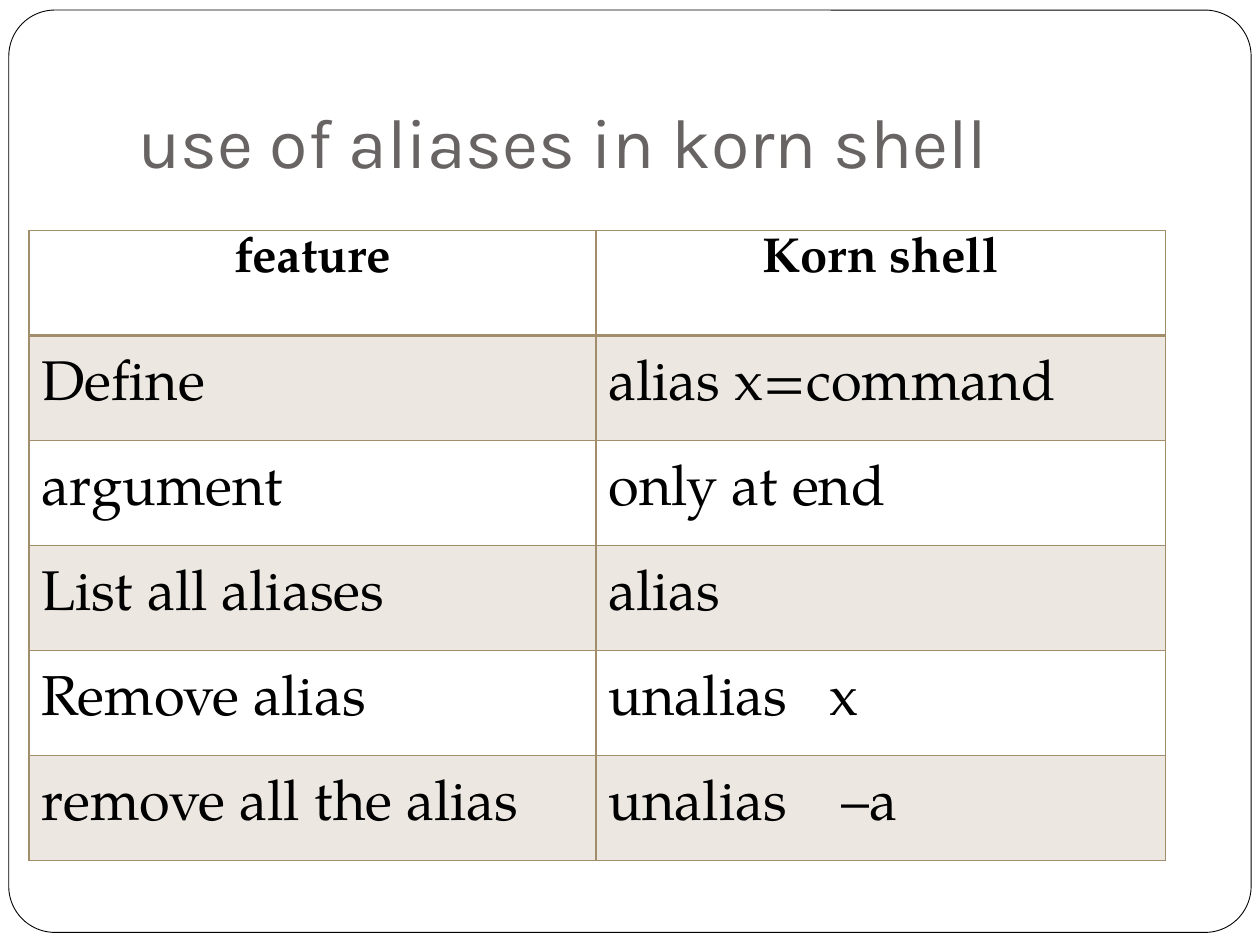
from dataclasses import dataclass

from lxml.etree import SubElement
from pptx import Presentation
from pptx.dml.color import RGBColor
from pptx.enum.shapes import MSO_SHAPE
from pptx.enum.text import MSO_ANCHOR, PP_ALIGN
from pptx.oxml.ns import qn
from pptx.util import Inches, Pt


@dataclass(frozen=True)
class Theme:
    title_font: str = "Karla"
    body_font: str = "TeX Gyre Pagella"
    title_size: int = 40
    header_size: int = 28
    body_size: int = 32
    paper: str = "FFFFFF"
    ink: str = "000000"
    title: str = "696464"
    rule: str = "A28E6A"
    band: str = "ECE8E1"


THEME = Theme()
ROWS = [
    ("feature", "Korn shell"),
    ("Define", "alias x=command"),
    ("argument", "only at end"),
    ("List all aliases", "alias"),
    ("Remove alias", "unalias\tx"),
    ("remove all the alias", "unalias\t–a"),
]
TAB_STOPS = {4: 1.75, 5: 1.85}
COLUMN_WIDTHS = (4.5, 4.52)


def apply_format(target, values):
    for name, value in values.items():
        setattr(target, name, value)


def write_text(paragraph, text, color, **font_values):
    run = paragraph.add_run()
    run.text = text
    apply_format(run.font, font_values)
    run.font.color.rgb = RGBColor.from_string(color)


def add_frame(slide):
    frame = slide.shapes.add_shape(
        MSO_SHAPE.ROUNDED_RECTANGLE, Inches(0.07), Inches(0.08), Inches(9.86), Inches(7.32)
    )
    frame.adjustments[0] = 0.05
    frame.shadow.inherit = False
    frame.fill.solid()
    frame.fill.fore_color.rgb = RGBColor.from_string(THEME.paper)
    frame.line.color.rgb = RGBColor.from_string(THEME.ink)
    frame.line.width = Pt(0.5)


def add_title(slide, text):
    box = slide.shapes.add_textbox(Inches(1), Inches(0.3), Inches(8.5), Inches(1.25))
    apply_format(box.text_frame, {
        "word_wrap": True,
        "vertical_anchor": MSO_ANCHOR.BOTTOM,
        "margin_bottom": Inches(0.1),
    })
    write_text(box.text_frame.paragraphs[0], text, THEME.title,
               name=THEME.title_font, size=Pt(THEME.title_size))


def set_borders(cell, widths):
    properties = cell._tc.get_or_add_tcPr()
    for position, (side, width) in enumerate(widths.items()):
        line = SubElement(properties, qn(f"a:{side}"), w=str(Pt(width)))
        fill = SubElement(line, qn("a:solidFill"))
        SubElement(fill, qn("a:srgbClr"), val=THEME.rule)
        properties.insert(position, line)


def add_tab_stop(paragraph, position):
    tabs = SubElement(paragraph._p.get_or_add_pPr(), qn("a:tabLst"))
    SubElement(tabs, qn("a:tab"), pos=str(Inches(position)), algn="l")


def fill_cell(cell, text, row):
    header = row == 0
    if row % 2:
        cell.fill.solid()
        cell.fill.fore_color.rgb = RGBColor.from_string(THEME.band)
    else:
        cell.fill.background()
    set_borders(cell, {
        "lnL": 1,
        "lnR": 1,
        "lnT": 2 if row == 1 else 1,
        "lnB": 2 if header else 1,
    })
    cell.vertical_anchor = MSO_ANCHOR.TOP if header else MSO_ANCHOR.MIDDLE
    paragraph = cell.text_frame.paragraphs[0]
    paragraph.alignment = PP_ALIGN.CENTER if header else PP_ALIGN.LEFT
    if "\t" in text:
        add_tab_stop(paragraph, TAB_STOPS[row])
    size = THEME.header_size if header else THEME.body_size
    write_text(paragraph, text, THEME.ink, name=THEME.body_font, size=Pt(size), bold=header)


def add_alias_table(slide):
    table = slide.shapes.add_table(
        len(ROWS), len(COLUMN_WIDTHS), Inches(0.23), Inches(1.83),
        Inches(sum(COLUMN_WIDTHS)), Inches(5)
    ).table
    apply_format(table, {"first_row": False, "horz_banding": False})
    for column, width in zip(table.columns, COLUMN_WIDTHS):
        column.width = Inches(width)
    for row, texts in enumerate(ROWS):
        for column, text in enumerate(texts):
            fill_cell(table.cell(row, column), text, row)


def main():
    presentation = Presentation()
    apply_format(presentation, {"slide_width": Inches(10), "slide_height": Inches(7.5)})
    slide = presentation.slides.add_slide(presentation.slide_layouts[6])
    add_frame(slide)
    add_title(slide, "use of aliases in korn shell")
    add_alias_table(slide)
    presentation.save("out.pptx")


main()
